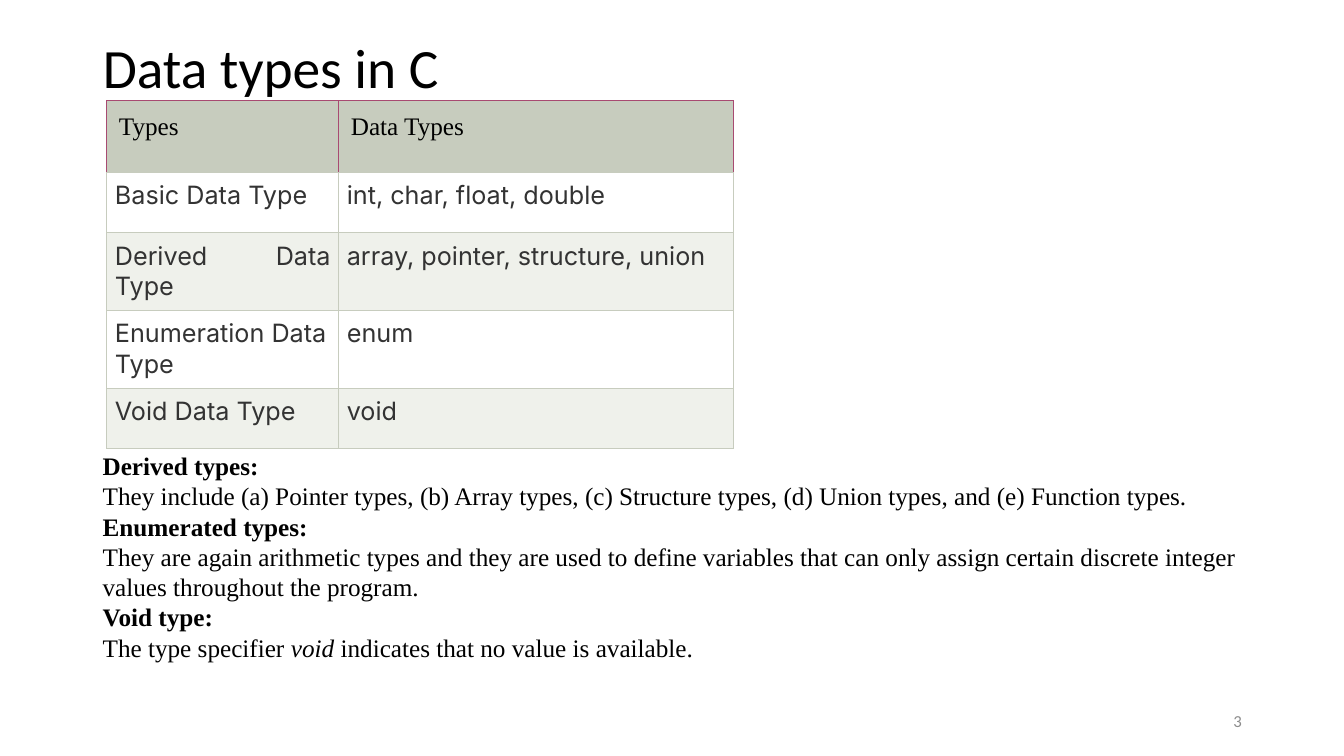
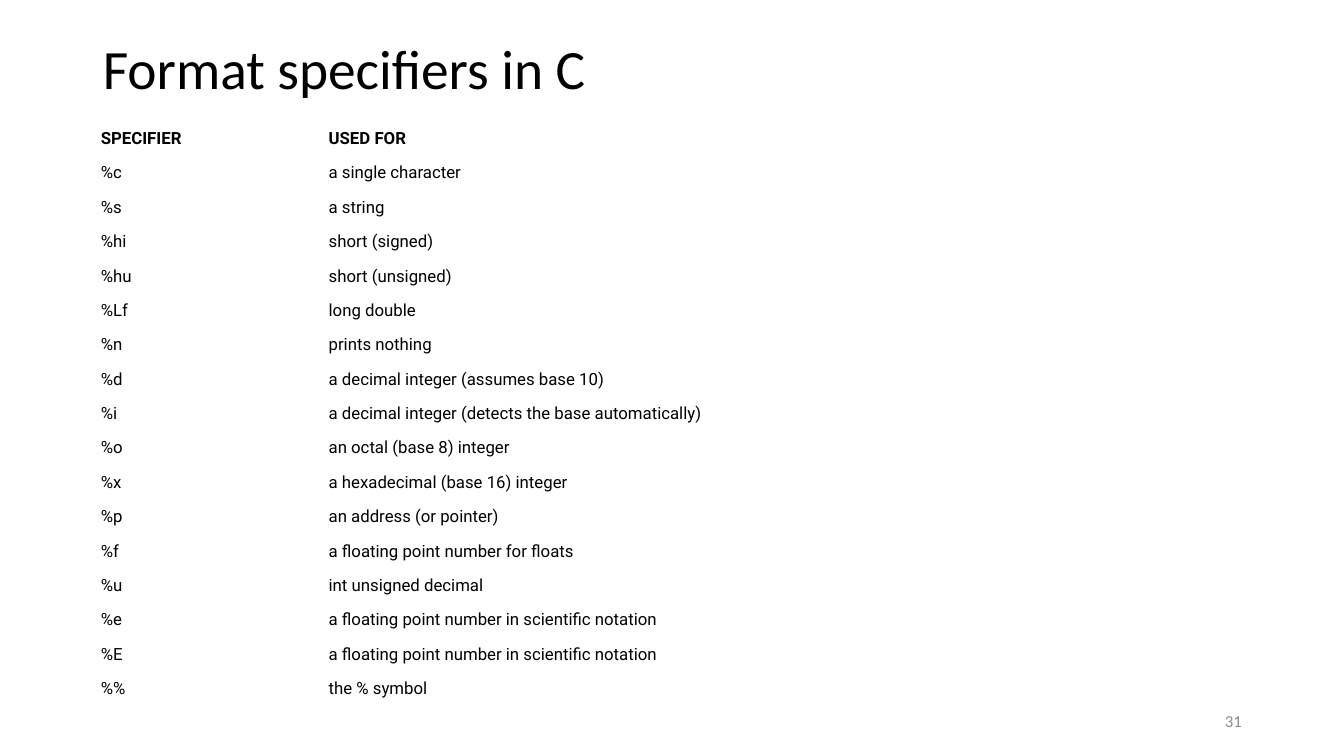
from collections import namedtuple

import pptx
import pptx.dml.color
import pptx.enum.text
import pptx.oxml
import pptx.oxml.ns
import pptx.util
from lxml import etree

Pt = pptx.util.Pt
Inches = pptx.util.Inches
RGBColor = pptx.dml.color.RGBColor
ALIGN = pptx.enum.text.PP_ALIGN
ANCHOR = pptx.enum.text.MSO_ANCHOR
AUTO_SIZE = pptx.enum.text.MSO_AUTO_SIZE
qn = pptx.oxml.ns.qn

BLACK = RGBColor(0x00, 0x00, 0x00)
CHARCOAL = RGBColor(0x33, 0x33, 0x33)
GREY = RGBColor(0x8C, 0x8C, 0x8C)
WHITE = RGBColor(0xFF, 0xFF, 0xFF)
SAGE = RGBColor(0xC7, 0xCC, 0xBE)
PALE_SAGE = RGBColor(0xEF, 0xF1, 0xEB)
PLUM = RGBColor(0xA8, 0x4A, 0x71)

SLIDE_W, SLIDE_H = Inches(13.33), Inches(7.5)
NO_STYLE = "{2D5ABB26-0587-4C30-8999-92F81FD0307C}"
BORDER_W = Pt(0.75)

Font = namedtuple("Font", "name size color")
TITLE_FONT = Font("Calibri", 39.6, BLACK)
NUMBER_FONT = Font("Calibri", 12, GREY)
BODY_FONT = Font("Times New Roman", 18, BLACK)
TYPE_FONT = Font("Inter", 18, CHARCOAL)
SPECIFIER_FONT = Font("Roboto", 12, BLACK)

TYPE_ROWS = [
    ("Types", "Data Types"),
    ("Basic Data Type", "int, char, float, double"),
    ("Derived Data Type", "array, pointer, structure, union"),
    ("Enumeration Data Type", "enum"),
    ("Void Data Type", "void"),
]
TYPE_HEIGHTS = [0.71, 0.6, 0.77, 0.77, 0.6]

# Each paragraph is a list of (text, style) runs.
TYPE_NOTES = [
    [("Derived types:", "bold")],
    [("They include (a) Pointer types, (b) Array types, (c) Structure types, "
      "(d) Union types, and (e) Function types.", "")],
    [("Enumerated types:", "bold")],
    [("They are again arithmetic types and they are used to define variables "
      "that can only assign certain discrete integer values throughout the "
      "program.", "")],
    [("Void type:", "bold")],
    [("The type specifier ", ""), ("void ", "italic"),
     ("indicates that no value is available.", "")],
]

SPECIFIER_ROWS = [
    ("SPECIFIER", "USED FOR"),
    ("%c", "a single character"),
    ("%s", "a string"),
    ("%hi", "short (signed)"),
    ("%hu", "short (unsigned)"),
    ("%Lf", "long double"),
    ("%n", "prints nothing"),
    ("%d", "a decimal integer (assumes base 10)"),
    ("%i", "a decimal integer (detects the base automatically)"),
    ("%o", "an octal (base 8) integer"),
    ("%x", "a hexadecimal (base 16) integer"),
    ("%p", "an address (or pointer)"),
    ("%f", "a floating point number for floats"),
    ("%u", "int unsigned decimal"),
    ("%e", "a floating point number in scientific notation"),
    ("%E", "a floating point number in scientific notation"),
    ("%%", "the % symbol"),
]


def area(x, y, w, h):
    """Turn percentages of the slide's size into left, top, width, height."""
    return (int(SLIDE_W * x / 100), int(SLIDE_H * y / 100),
            int(SLIDE_W * w / 100), int(SLIDE_H * h / 100))


def add_run(p, text, font, style=""):
    r = p.add_run()
    r.text = text
    r.font.name = font.name
    r.font.size = Pt(font.size)
    r.font.color.rgb = font.color
    r.font.bold = style == "bold"
    r.font.italic = style == "italic"


def add_titled_slide(prs, title, number, title_height):
    s = prs.slides.add_slide(prs.slide_layouts[5])
    sp = s.shapes.title
    sp.left, sp.top, sp.width, sp.height = area(6.9, 5.33, 86.25, title_height)
    tf = sp.text_frame
    tf.word_wrap = True
    tf.auto_size = AUTO_SIZE.NONE
    tf.vertical_anchor = ANCHOR.MIDDLE
    p = tf.paragraphs[0]
    p.alignment = ALIGN.LEFT
    p.line_spacing = 0.9
    add_run(p, title, TITLE_FONT)

    tf = s.shapes.add_textbox(*area(70.65, 92.67, 22.5, 5.33)).text_frame
    tf.word_wrap = True
    tf.vertical_anchor = ANCHOR.MIDDLE
    p = tf.paragraphs[0]
    p.alignment = ALIGN.RIGHT
    add_run(p, str(number), NUMBER_FONT)
    return s


def add_plain_table(s, box, rows, col_weights, row_weights):
    """Add an unstyled table whose columns and rows share out the box."""
    frame = s.shapes.add_table(len(rows), len(col_weights), *box)
    table = frame.table
    table.first_row = table.horz_banding = False
    table._tbl.tblPr.find(qn("a:tableStyleId")).text = NO_STYLE
    for col, weight in zip(table.columns, col_weights):
        col.width = int(box[2] * weight / sum(col_weights))
    for row, weight in zip(table.rows, row_weights):
        row.height = int(box[3] * weight / sum(row_weights))
    return table


def set_insets(cell, x, y):
    cell.margin_left = cell.margin_right = Inches(x)
    cell.margin_top = cell.margin_bottom = Inches(y)


def set_borders(cell, side_color, bottom_color):
    """Draw the cell's edges; call before the fill, which must follow them."""
    tc_pr = cell._tc.get_or_add_tcPr()
    for edge in "LRTB":
        color = bottom_color if edge == "B" else side_color
        ln = etree.SubElement(tc_pr, qn("a:ln" + edge), w=str(BORDER_W))
        fill = etree.SubElement(ln, qn("a:solidFill"))
        etree.SubElement(fill, qn("a:srgbClr"), val=str(color))


def fill_types_table(s, box):
    table = add_plain_table(s, box, TYPE_ROWS, (2.3, 3.91), TYPE_HEIGHTS)
    for i, row in enumerate(TYPE_ROWS):
        header = i == 0
        for j, text in enumerate(row):
            cell = table.cell(i, j)
            inset = 0.12 if header else 0.08
            set_insets(cell, inset, inset)
            set_borders(cell, PLUM if header else SAGE, SAGE)
            cell.fill.solid()
            cell.fill.fore_color.rgb = (
                SAGE if header else WHITE if i % 2 else PALE_SAGE)
            p = cell.text_frame.paragraphs[0]
            left = header or text == "Enumeration Data Type"
            p.alignment = ALIGN.LEFT if left else ALIGN.JUSTIFY
            add_run(p, text, BODY_FONT if header else TYPE_FONT)


def fill_specifiers_table(s, box):
    table = add_plain_table(s, box, SPECIFIER_ROWS, (2.26, 5.63),
                            [1] * len(SPECIFIER_ROWS))
    for i, row in enumerate(SPECIFIER_ROWS):
        for j, text in enumerate(row):
            cell = table.cell(i, j)
            set_insets(cell, 0.08, 0.04)
            cell.fill.background()
            add_run(cell.text_frame.paragraphs[0], text, SPECIFIER_FONT,
                    "bold" if i == 0 else "")


def add_notes_text(s, box):
    tf = s.shapes.add_textbox(*box).text_frame
    tf.word_wrap = True
    tf.auto_size = AUTO_SIZE.SHAPE_TO_FIT_TEXT
    for i, runs in enumerate(TYPE_NOTES):
        p = tf.add_paragraph() if i else tf.paragraphs[0]
        for text, style in runs:
            add_run(p, text, BODY_FONT, style)


def data_types_slide(prs):
    s = add_titled_slide(prs, "Data types in C", 3, 8)
    fill_types_table(s, area(7.95, 13.33, 46.59, 46))
    add_notes_text(s, area(6.9, 58.93, 86.25, 29.6))


def format_specifiers_slide(prs):
    s = add_titled_slide(prs, "Format specifiers in C", 31, 8.27)
    fill_specifiers_table(s, area(6.9, 16.53, 59.19, 77.33))


def main():
    prs = pptx.Presentation()
    prs.slide_width, prs.slide_height = SLIDE_W, SLIDE_H
    data_types_slide(prs)
    format_specifiers_slide(prs)
    prs.save("out.pptx")


if __name__ == "__main__":
    main()
